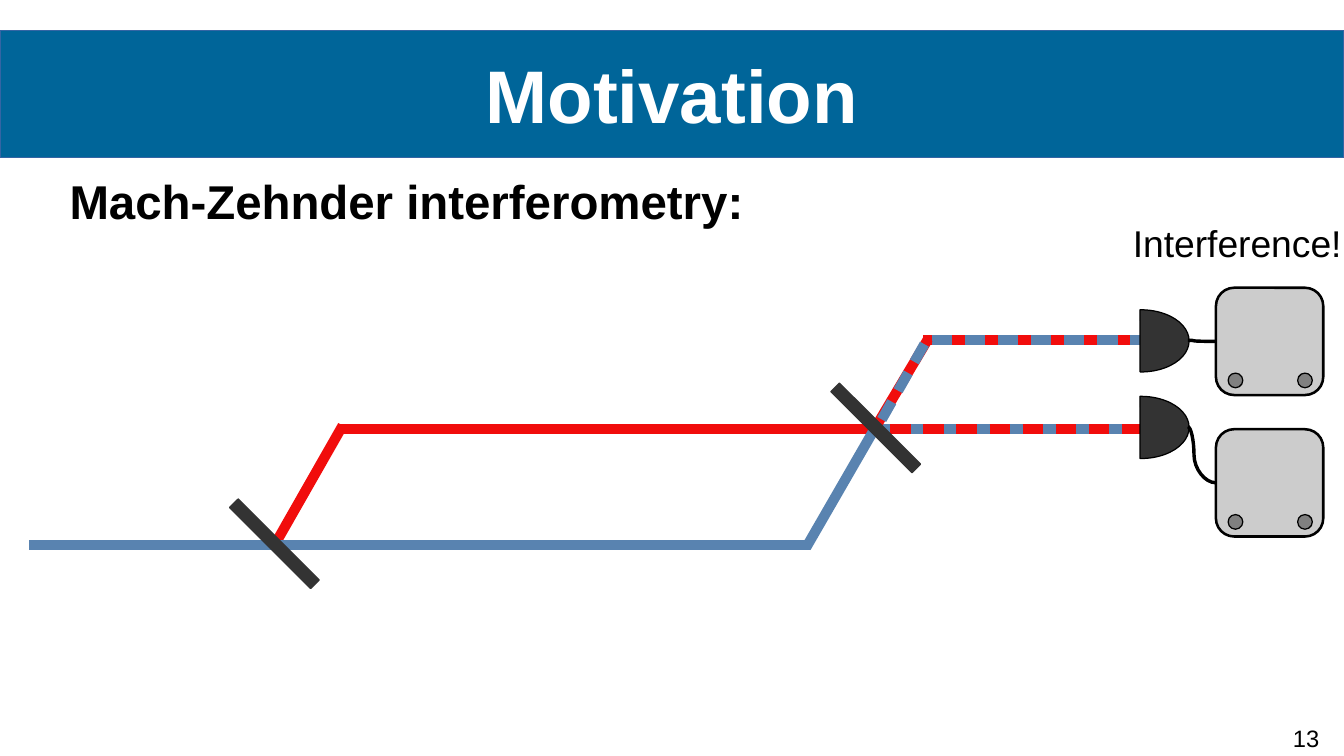
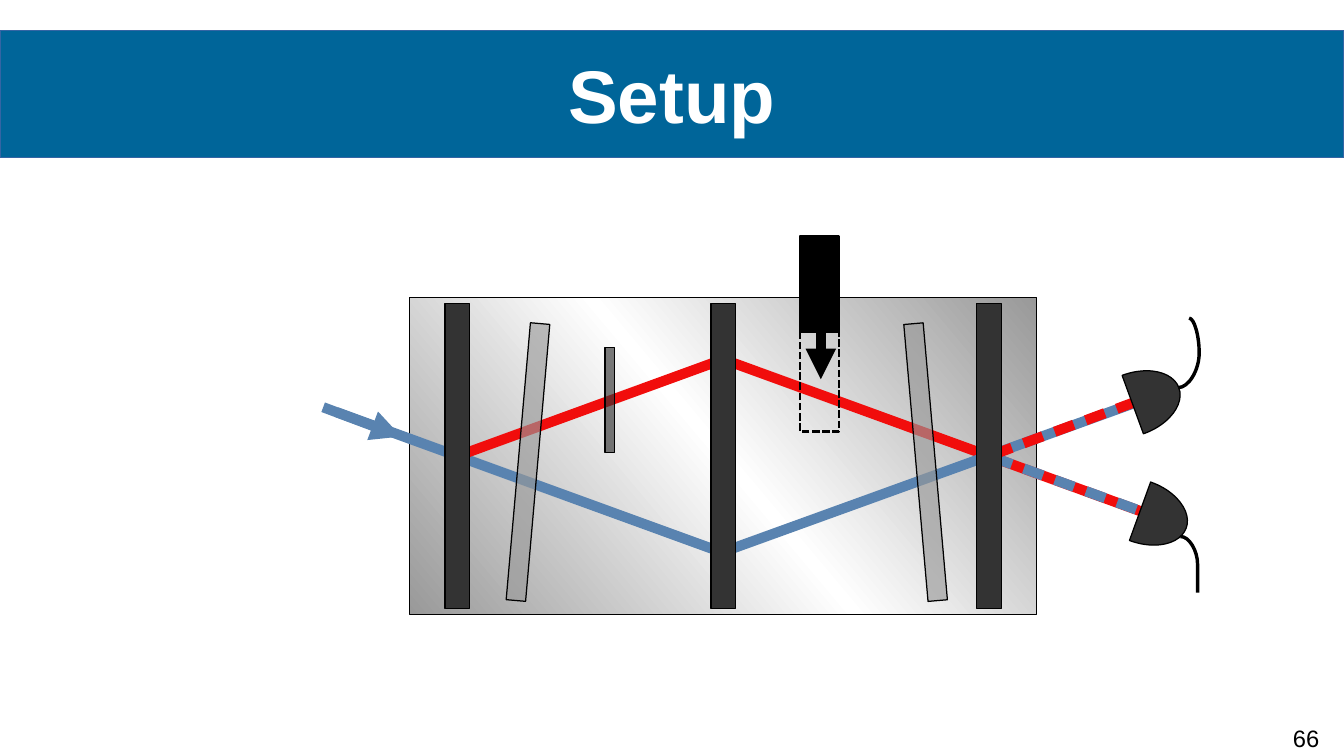
from copy import deepcopy

from pptx import Presentation
from pptx.dml.color import RGBColor
from pptx.enum import dml, shapes, text
from pptx.oxml.ns import qn
from pptx.util import Inches, Pt

COLORS = {
    "white": "FFFFFF", "black": "000000", "band": "006599", "band_edge": "3465A4",
    "blue": "5983B0", "red": "F10D0C", "dark": "333333", "silver": "CCCCCC",
    "grey": "999999", "knob": "808080",
}
SHAPE = shapes.MSO_SHAPE
FONT = "Arial"
BEAM = 6
HAIRLINE = 0


def rgb(name):
    return RGBColor.from_string(COLORS[name])


def add_child(parent, tag, **attributes):
    child = parent.makeelement(qn(tag), attributes)
    parent.append(child)
    return child


class Deck:
    """Holds the shared style and the slide being built."""

    def __init__(self, width, height):
        self.presentation = Presentation()
        self.presentation.slide_width = Inches(width)
        self.presentation.slide_height = Inches(height)
        self.width = width
        self.slide = None

    def new_slide(self, heading, number):
        title_only = self.presentation.slide_layouts[5]
        self.slide = self.presentation.slides.add_slide(title_only)
        title = self.slide.shapes.title
        title.left, title.top = Inches(0), Inches(0.25)
        title.width, title.height = Inches(self.width), Inches(1.04)
        self.paint(title, "band", "band_edge")
        self.set_text(title, heading, 44, "white", bold=True, centred=True, inset=0)
        page = self.box(10.4, 5.9, 0.62, 0.3, "white", None)
        self.set_text(page, number, 14, centred=True)

    def paint(self, shape, fill, edge="black", weight=HAIRLINE):
        if fill:
            shape.fill.solid()
            shape.fill.fore_color.rgb = rgb(fill)
        else:
            shape.fill.background()
        if edge:
            shape.line.color.rgb = rgb(edge)
            shape.line.width = Pt(weight)
        else:
            shape.line.fill.background()

    def set_text(self, shape, words, size, color="black", bold=False,
                 centred=False, inset=None, wrap=True):
        frame = shape.text_frame
        frame.word_wrap = wrap
        frame.vertical_anchor = text.MSO_ANCHOR.MIDDLE if centred else text.MSO_ANCHOR.TOP
        if inset is not None:
            frame.margin_left = frame.margin_right = Inches(inset)
            frame.margin_top = frame.margin_bottom = Inches(inset)
        paragraph = frame.paragraphs[0]
        paragraph.text = words
        paragraph.alignment = text.PP_ALIGN.CENTER if centred else text.PP_ALIGN.LEFT
        font = paragraph.font
        font.name, font.size, font.bold = FONT, Pt(size), bold
        font.color.rgb = rgb(color)

    def label(self, left, top, width, height, words, size, **style):
        area = self.slide.shapes.add_textbox(
            Inches(left), Inches(top), Inches(width), Inches(height))
        self.set_text(area, words, size, **style)

    def box(self, left, top, width, height, fill, edge="black", weight=HAIRLINE,
            kind=SHAPE.RECTANGLE, turn=0, opacity=None, group=None):
        owner = group or self.slide
        shape = owner.shapes.add_shape(
            kind, Inches(left), Inches(top), Inches(width), Inches(height))
        shape.shadow.inherit = False
        shape.rotation = turn
        self.paint(shape, fill, edge, weight)
        if opacity is not None:
            color = shape._element.spPr.find(qn("a:solidFill"))[0]
            add_child(color, "a:alpha", val=str(opacity * 1000))
        return shape

    def line(self, start, end, color="black", weight=HAIRLINE,
             dashed=False, arrow=False, bend=None):
        """Draw a line; bend places the middle of a curve as a share of its width."""
        kind = shapes.MSO_CONNECTOR.STRAIGHT if bend is None else shapes.MSO_CONNECTOR.CURVE
        connector = self.slide.shapes.add_connector(
            kind, *(Inches(value) for value in (*start, *end)))
        connector.line.color.rgb = rgb(color)
        connector.line.width = Pt(weight)
        properties = connector._element.spPr
        stroke = properties.find(qn("a:ln"))
        if dashed:
            dashes = add_child(stroke, "a:custDash")
            add_child(dashes, "a:ds", d="200000", sp="125000")
        if arrow:
            add_child(stroke, "a:tailEnd", type="triangle")
        if bend is not None:
            guides = properties.find(qn("a:prstGeom")).find(qn("a:avLst"))
            add_child(guides, "a:gd", name="adj1", fmla=f"val {round(bend * 100000)}")
        add_child(properties, "a:effectLst")

    def beam(self, start, end, color, **style):
        self.line(start, end, color, BEAM, **style)

    def detector(self, left, top, turn=180):
        half_disc = self.box(left, top, 0.79, 0.51, "dark", kind=SHAPE.CHORD, turn=turn)
        half_disc.adjustments[0] = 52.95
        half_disc.adjustments[1] = 162.97

    def counter(self, left, top):
        group = self.slide.shapes.add_group_shape()
        case = self.box(left, top, 0.88, 0.88, "silver", weight=1.5,
                        kind=SHAPE.ROUNDED_RECTANGLE, group=group)
        case.adjustments[0] = 0.17
        for offset in (0.1, 0.67):
            self.box(left + offset, top + 0.7, 0.12, 0.12, "knob",
                     kind=SHAPE.OVAL, group=group)

    def metal_plate(self, left, top, width, height):
        plate = self.box(left, top, width, height, "grey")
        plate.fill.gradient()
        plate.fill.gradient_angle = 40
        stops = plate._element.spPr.find(qn("a:gradFill")).find(qn("a:gsLst"))
        middle = deepcopy(stops[0])
        middle.set("pos", "50000")
        stops.insert(1, middle)
        for stop, color in zip(plate.fill.gradient_stops, ("grey", "white", "grey")):
            stop.color.rgb = rgb(color)


def build_motivation(deck):
    deck.new_slide("Motivation", "13")
    deck.label(0.57, 1.41, 5.92, 0.49, "Mach-Zehnder interferometry:", 28,
               bold=True, inset=0)
    deck.label(9.19, 1.76, 1.91, 0.44, "Interference!", 22, wrap=False)

    deck.beam((7.16, 3.52), (9.36, 3.52), "blue")
    deck.beam((2.78, 3.52), (7.19, 3.52), "red")
    deck.beam((7.3, 3.52), (9.5, 3.52), "red", dashed=True)
    deck.beam((2.24, 4.49), (2.81, 3.49), "red")
    deck.beam((7.57, 2.79), (9.57, 2.79), "red")
    deck.beam((0.24, 4.47), (6.64, 4.47), "blue")
    deck.beam((7.64, 2.79), (9.44, 2.79), "blue", dashed=True)
    deck.beam((6.61, 4.49), (7.17, 3.52), "blue")
    deck.beam((7.17, 3.52), (7.61, 2.78), "red")
    deck.beam((7.23, 3.44), (7.61, 2.77), "blue", dashed=True)

    for detector_top, wire_y, counter_top in ((2.54, 2.79, 2.36), (3.25, 3.5, 3.52)):
        deck.detector(8.96, detector_top)
        deck.line((9.74, wire_y), (9.97, counter_top + 0.44), bend=0.22)
        deck.counter(9.97, counter_top)
    for left, top in ((1.78, 4.41), (6.71, 3.46)):
        deck.box(left, top, 0.94, 0.1, "dark", "dark", turn=45)


def build_setup(deck):
    deck.new_slide("Setup", "66")
    deck.metal_plate(3.36, 2.44, 5.14, 2.6)

    deck.beam((2.65, 3.34), (3.29, 3.58), "blue", arrow=True)
    deck.beam((2.76, 3.38), (5.92, 4.53), "blue")
    deck.beam((3.78, 3.73), (5.92, 2.95), "red")
    deck.beam((5.94, 2.95), (9.4, 4.21), "red")
    deck.beam((5.92, 4.53), (9.4, 3.27), "blue")
    deck.beam((8.14, 3.75), (9.46, 4.23), "blue", dashed=True)
    deck.beam((8.14, 3.73), (9.46, 3.24), "red", dashed=True)

    gratings = deck.slide.shapes.add_group_shape()
    for index in range(3):
        deck.box(3.65 + 2.18 * index, 2.49, 0.2, 2.5, "dark", group=gratings)
    for left, turn in ((4.25, 5), (7.51, 355)):
        deck.box(left, 2.65, 0.16, 2.28, "grey", turn=turn, opacity=64)
    deck.box(4.96, 2.85, 0.08, 0.86, "dark", opacity=65)

    deck.box(6.56, 1.94, 0.32, 0.78, "black", weight=1.5)
    deck.beam((6.73, 2.62), (6.73, 3.11), "black", arrow=True)
    blocker_range = deck.box(6.56, 1.94, 0.32, 1.6, None, weight=1.5)
    blocker_range.line.dash_style = dml.MSO_LINE.SQUARE_DOT

    deck.detector(8.96, 3.94, turn=200)
    deck.line((9.68, 4.4), (9.82, 4.86), bend=1)
    deck.detector(8.9, 3.06, turn=160)
    deck.line((9.66, 3.18), (9.75, 2.61), bend=1.92)


def main():
    deck = Deck(11.02, 6.2)
    build_motivation(deck)
    build_setup(deck)
    deck.presentation.save("out.pptx")


if __name__ == "__main__":
    main()
